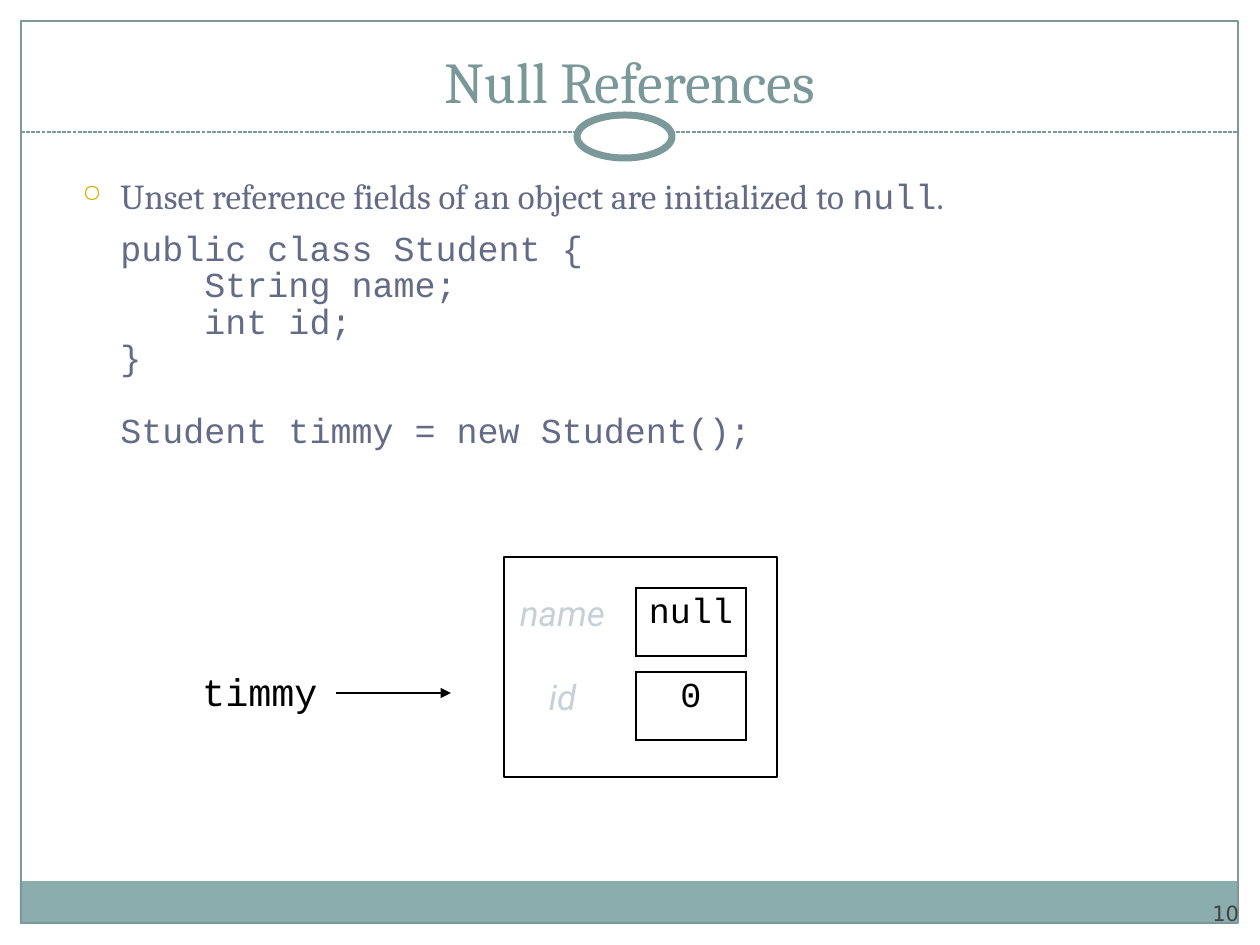
import pptx
import pptx.dml.color
import pptx.enum.dml
import pptx.enum.shapes
import pptx.enum.text
import pptx.oxml
import pptx.oxml.ns
import pptx.util
from dataclasses import dataclass

ALIGN = pptx.enum.text.PP_ALIGN
ANCHOR = pptx.enum.text.MSO_ANCHOR
SHAPE = pptx.enum.shapes.MSO_SHAPE
Pt = pptx.util.Pt
NS = pptx.oxml.ns.nsdecls("a")


@dataclass(frozen=True)
class Theme:
    white: str = "FFFFFF"
    black: str = "000000"
    band: str = "8CADAE"
    rule: str = "7C999A"
    title: str = "7B9899"
    body: str = "646B86"
    bullet: str = "CCB400"
    label: str = "C5D1D7"
    number: str = "424242"
    serif: str = "Cambria"
    mono: str = "Courier New"
    sans: str = "Roboto"
    plain: str = "DejaVu Sans"
    title_size: int = 33
    text_size: int = 20
    name_size: int = 22
    number_size: int = 12


T = Theme()
CODE = [
    "public class Student {",
    "    String name;",
    "    int id;",
    "}",
    "Student timmy = new Student();",
]
CODE_PITCH = 20.8
FIELDS = [("name", "null"), ("id", "0")]


def px(n):
    return round(n * 914400 / 126)


def rgb(color):
    return pptx.dml.color.RGBColor.from_string(color)


def xml(text):
    return pptx.oxml.parse_xml(text)


def apply(obj, values):
    for key, value in values.items():
        setattr(obj, key, value)


def add_run(p, text, font, size, color, italic=False):
    r = p.add_run()
    r.text = text
    apply(r.font, {"name": font, "size": Pt(size), "italic": italic})
    r.font.color.rgb = rgb(color)


def add_box(slide, box, anchor=ANCHOR.TOP, wrap=True, inset=None):
    tf = slide.shapes.add_textbox(*map(px, box)).text_frame
    apply(tf, {"word_wrap": wrap, "vertical_anchor": anchor})
    if inset is not None:
        sides = ("left", "top", "right", "bottom")
        apply(tf, {f"margin_{side}": px(inset) for side in sides})
    return tf


def add_label(slide, box, text, font, size, color, align, **frame):
    p = add_box(slide, box, **frame).paragraphs[0]
    p.alignment = align
    add_run(p, text, font, size, color)


def add_shape(slide, kind, box, fill=None, line=None, width=1):
    sp = slide.shapes.add_shape(kind, *map(px, box))
    sp.shadow.inherit = False
    if fill:
        sp.fill.solid()
        sp.fill.fore_color.rgb = rgb(fill)
    else:
        sp.fill.background()
    if line:
        sp.line.color.rgb = rgb(line)
        sp.line.width = Pt(width)
    else:
        sp.line.fill.background()


def add_line(slide, x1, x2, y, color, width, dash=None, arrow=False):
    c = slide.shapes.add_connector(
        pptx.enum.shapes.MSO_CONNECTOR.STRAIGHT, px(x1), px(y), px(x2), px(y))
    c.line.color.rgb = rgb(color)
    apply(c.line, {"width": Pt(width), "dash_style": dash})
    if arrow:
        c.line._get_or_add_ln().append(xml(f'<a:tailEnd {NS} type="triangle"/>'))
    c._element.spPr.append(xml(f"<a:effectLst {NS}/>"))


def set_borders(cell, color=None):
    fill = (f'<a:solidFill><a:srgbClr val="{color}"/></a:solidFill>'
            if color else "<a:noFill/>")
    tc_pr = cell._tc.get_or_add_tcPr()
    for i, side in enumerate("LRTB"):
        tc_pr.insert(i, xml(f'<a:ln{side} {NS} w="12700">{fill}</a:ln{side}>'))


def add_field(slide, y, name, value):
    table = slide.shapes.add_table(1, 2, px(489), px(y), px(257), px(68)).table
    apply(table, {"first_row": False, "horz_banding": False})
    table.columns[0].width, table.columns[1].width = px(147), px(110)
    styles = [(name, T.sans, T.label, True, None),
              (value, T.mono, T.black, False, T.black)]
    for cell, (text, font, color, italic, border) in zip(table.rows[0].cells, styles):
        cell.fill.background()
        set_borders(cell, border)
        p = cell.text_frame.paragraphs[0]
        p.alignment = ALIGN.CENTER
        add_run(p, text, font, T.text_size, color, italic)


def indent(p, hanging=0):
    p_pr = p._p.get_or_add_pPr()
    p_pr.set("marL", str(px(76)))
    p_pr.set("indent", str(-px(hanging)))
    return p_pr


def add_body(slide):
    tf = add_box(slide, (32, 168, 1197, 703))
    p = tf.paragraphs[0]
    p_pr = indent(p, 38)
    for tag in (f'<a:buClr {NS}><a:srgbClr val="{T.bullet}"/></a:buClr>',
                f'<a:buSzPct {NS} val="70000"/>',
                f'<a:buChar {NS} char="○"/>'):
        p_pr.append(xml(tag))
    for text, font in (("Unset reference fields of an object are initialized to ", T.serif),
                       ("null", T.mono), (".", T.serif)):
        add_run(p, text, font, T.text_size, T.body)

    # Code lines, with a gap above the class and above the last statement
    gaps = {0: 9, len(CODE) - 1: CODE_PITCH}
    for i, line in enumerate(CODE):
        p = tf.add_paragraph()
        indent(p)
        apply(p, {"line_spacing": Pt(CODE_PITCH), "space_before": Pt(gaps.get(i, 0))})
        add_run(p, line, T.mono, T.text_size, T.body)


def main():
    prs = pptx.Presentation()
    apply(prs, {"slide_width": px(1260), "slide_height": px(945)})
    slide = prs.slides.add_slide(prs.slide_layouts[6])

    # Frame, footer band and header ornament
    add_shape(slide, SHAPE.RECTANGLE, (20, 881, 1217, 43), fill=T.band)
    add_shape(slide, SHAPE.RECTANGLE, (21, 21, 1217, 902), line=T.rule, width=0.75)
    add_line(slide, 21, 1238, 132, T.rule, 0.75,
             dash=pptx.enum.dml.MSO_LINE.SQUARE_DOT)
    add_shape(slide, SHAPE.OVAL, (577, 115, 95, 43), T.white, T.rule, 4)
    add_label(slide, (1134, 876, 105, 50), "10", T.plain, T.number_size, T.number,
              ALIGN.RIGHT, anchor=ANCHOR.BOTTOM, inset=0)

    # Title and body
    add_label(slide, (42, 32, 1176, 89), "Null References", T.serif, T.title_size,
              T.title, ALIGN.CENTER, anchor=ANCHOR.BOTTOM)
    add_body(slide)

    # Object diagram
    for i, (name, value) in enumerate(FIELDS):
        add_field(slide, 588 + 84 * i, name, value)
    add_label(slide, (189, 662, 141, 59), "timmy", T.mono, T.name_size, T.black,
              ALIGN.RIGHT, wrap=False)
    add_line(slide, 336, 451, 693, T.black, 1.5, arrow=True)
    add_shape(slide, SHAPE.RECTANGLE, (504, 557, 273, 220), line=T.black, width=1.5)

    prs.save("out.pptx")


if __name__ == "__main__":
    main()
